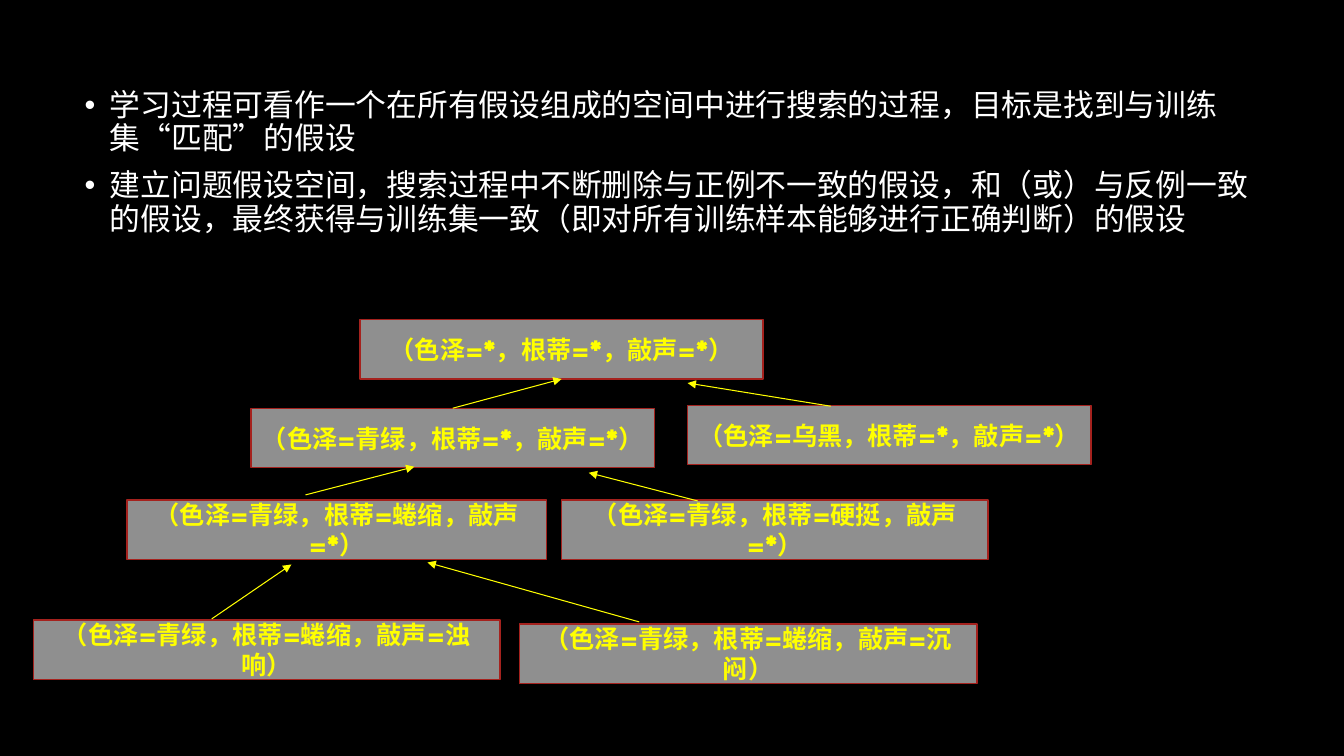
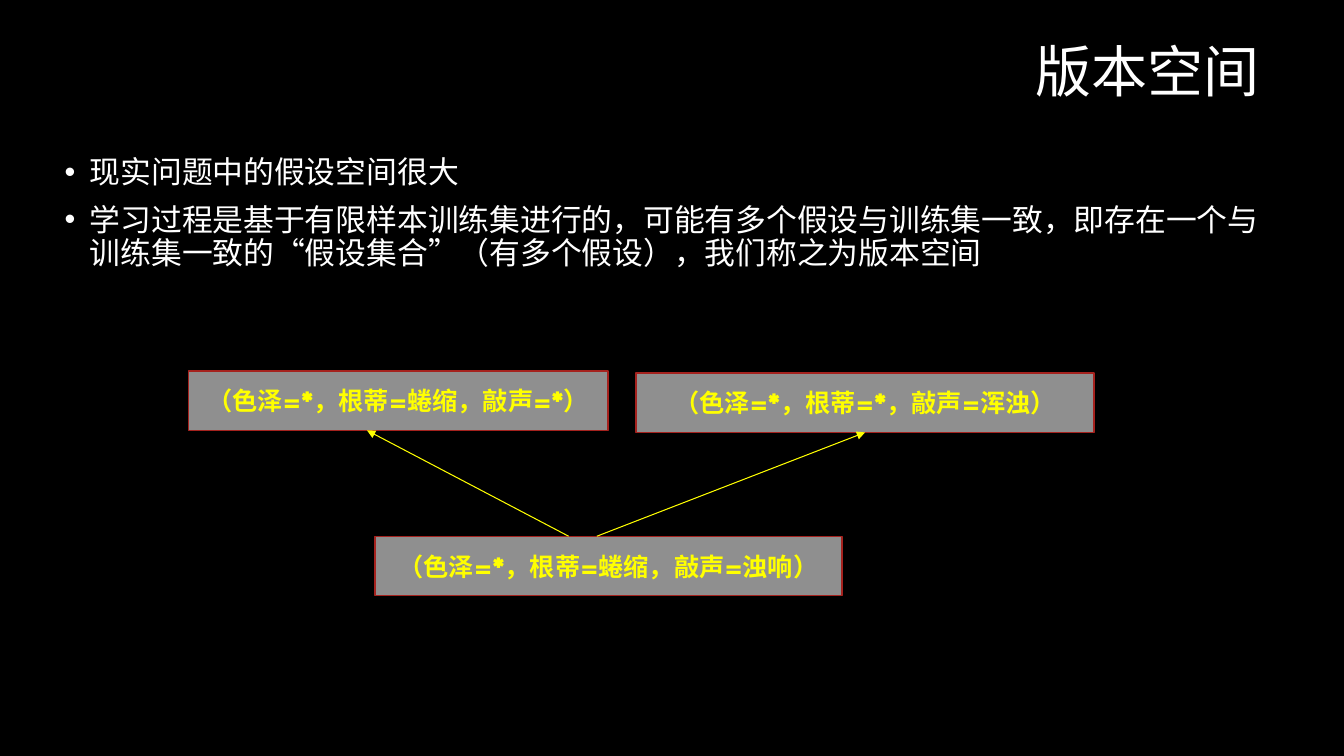
from dataclasses import dataclass

from lxml.etree import SubElement
from pptx import Presentation
from pptx.dml.color import RGBColor
from pptx.enum.shapes import MSO_CONNECTOR as Connector, MSO_SHAPE as Shape
from pptx.enum.text import MSO_ANCHOR as Anchor, MSO_AUTO_SIZE as AutoSize, PP_ALIGN as Align
from pptx.oxml.ns import qn
from pptx.util import Pt

PX = 9144  # EMU in one px; 100 px make an inch


def px(*lengths):
    return [length * PX for length in lengths]


@dataclass(frozen=True)
class Theme:
    font: str = "TeX Gyre Adventor"
    background: str = "000000"
    text: str = "FFFFFF"
    accent: str = "FFFF00"
    box_fill: str = "8F8F8F"
    box_line: str = "A5221E"
    title_size: int = 40
    body_size: int = 22
    box_size: int = 18
    box_height: int = 59
    bullet_indent: int = 25


class Deck:
    """Holds the theme and the slide being built."""

    def __init__(self, theme):
        self.theme = theme
        self.slide = None
        self.prs = Presentation()
        self.prs.slide_width, self.prs.slide_height = px(1333, 750)
        self.paint(self.prs.slide_master.background.fill, theme.background)

    @staticmethod
    def paint(fill, color):
        fill.solid()
        fill.fore_color.rgb = RGBColor.from_string(color)

    def style(self, paragraph, size, color, bold=False):
        for run in paragraph.runs:
            run.font.name = self.theme.font
            run.font.size = Pt(size)
            run.font.bold = bold
            run.font.color.rgb = RGBColor.from_string(color)

    @staticmethod
    def place(shape, left, top, width, height):
        shape.left, shape.top, shape.width, shape.height = px(left, top, width, height)
        shape.text_frame.auto_size = AutoSize.NONE

    def new_slide(self):
        self.slide = self.prs.slides.add_slide(self.prs.slide_layouts[1])

    def title(self, text):
        title = self.slide.shapes.title
        self.place(title, 317, 24, 942, 100)
        title.text_frame.text = text
        title.text_frame.vertical_anchor = Anchor.MIDDLE
        heading = title.text_frame.paragraphs[0]
        heading.alignment = Align.RIGHT
        heading.line_spacing = 0.9
        self.style(heading, self.theme.title_size, self.theme.text)

    def no_title(self):
        title = self.slide.shapes.title.element
        title.getparent().remove(title)

    def bullets(self, left, top, width, items):
        body = self.slide.placeholders[1]
        self.place(body, left, top, width, 440)
        frame = body.text_frame
        frame.text = "\n".join(items)
        indent = self.theme.bullet_indent * PX
        for number, item in enumerate(frame.paragraphs):
            props = item._p.get_or_add_pPr()
            props.set("marL", str(indent))
            props.set("indent", str(-indent))
            SubElement(props, qn("a:buFont"), typeface="Arial")
            SubElement(props, qn("a:buChar"), char="•")
            item.line_spacing = 0.9
            item.space_before = Pt(10 if number else 0)
            self.style(item, self.theme.body_size, self.theme.text)

    def hypothesis(self, left, top, width, color, root, sound):
        box = self.slide.shapes.add_shape(
            Shape.RECTANGLE, *px(left, top, width, self.theme.box_height))
        box.shadow.inherit = False
        self.paint(box.fill, self.theme.box_fill)
        self.paint(box.line.fill, self.theme.box_line)
        box.line.width = Pt(1)
        frame = box.text_frame
        frame.text = f"（色泽={color}，根蒂={root}，敲声={sound}）"
        frame.word_wrap = True
        frame.vertical_anchor = Anchor.MIDDLE
        frame.paragraphs[0].alignment = Align.CENTER
        self.style(frame.paragraphs[0], self.theme.box_size, self.theme.accent, bold=True)

    def arrow(self, *ends):
        arrow = self.slide.shapes.add_connector(Connector.STRAIGHT, *px(*ends))
        self.paint(arrow.line.fill, self.theme.accent)
        arrow.line.width = Pt(0.75)
        SubElement(arrow.line._get_or_add_ln(), qn("a:tailEnd"), type="triangle")
        SubElement(arrow._element.spPr, qn("a:effectLst"))

    def diagram(self, hypotheses, arrows):
        for hypothesis in hypotheses:
            self.hypothesis(*hypothesis)
        for ends in arrows:
            self.arrow(*ends)


def search_slide(deck):
    deck.new_slide()
    deck.no_title()
    deck.bullets(74, 84, 1183, [
        "学习过程可看作一个在所有假设组成的空间中进行搜索的过程，目标是找到与训练集“匹配”的假设",
        "建立问题假设空间，搜索过程中不断删除与正例不一致的假设，和（或）与反例一致的假设，"
        "最终获得与训练集一致（即对所有训练样本能够进行正确判断）的假设",
    ])
    # Hypotheses from general to specific: left, top, width, then the three attributes
    hypotheses = [
        (357, 317, 400, "*", "*", "*"),
        (682, 402, 400, "乌黑", "*", "*"),
        (249, 405, 400, "青绿", "*", "*"),
        (557, 496, 423, "青绿", "硬挺", "*"),
        (126, 496, 416, "青绿", "蜷缩", "*"),
        (515, 619, 454, "青绿", "蜷缩", "沉闷"),
        (33, 615, 463, "青绿", "蜷缩", "浊响"),
    ]
    # Each arrow points to the more general hypothesis
    generalisations = [
        (449, 405, 557, 376), (824, 403, 682, 380),
        (303, 491, 411, 463), (692, 497, 584, 469),
        (210, 614, 289, 560), (634, 617, 424, 558),
    ]
    deck.diagram(hypotheses, generalisations)


def version_space_slide(deck):
    deck.new_slide()
    deck.title("版本空间")
    deck.bullets(54, 151, 1231, [
        "现实问题中的假设空间很大",
        "学习过程是基于有限样本训练集进行的，可能有多个假设与训练集一致，"
        "即存在一个与训练集一致的“假设集合”（有多个假设），我们称之为版本空间",
    ])
    # Hypotheses consistent with the training set
    hypotheses = [
        (187, 368, 416, "*", "蜷缩", "*"),
        (631, 370, 454, "*", "*", "浑浊"),
        (372, 532, 463, "*", "蜷缩", "浊响"),
    ]
    generalisations = [(564, 532, 364, 427), (592, 532, 858, 429)]
    deck.diagram(hypotheses, generalisations)


def main():
    deck = Deck(Theme())
    search_slide(deck)
    version_space_slide(deck)
    deck.prs.save("out.pptx")


if __name__ == "__main__":
    main()
